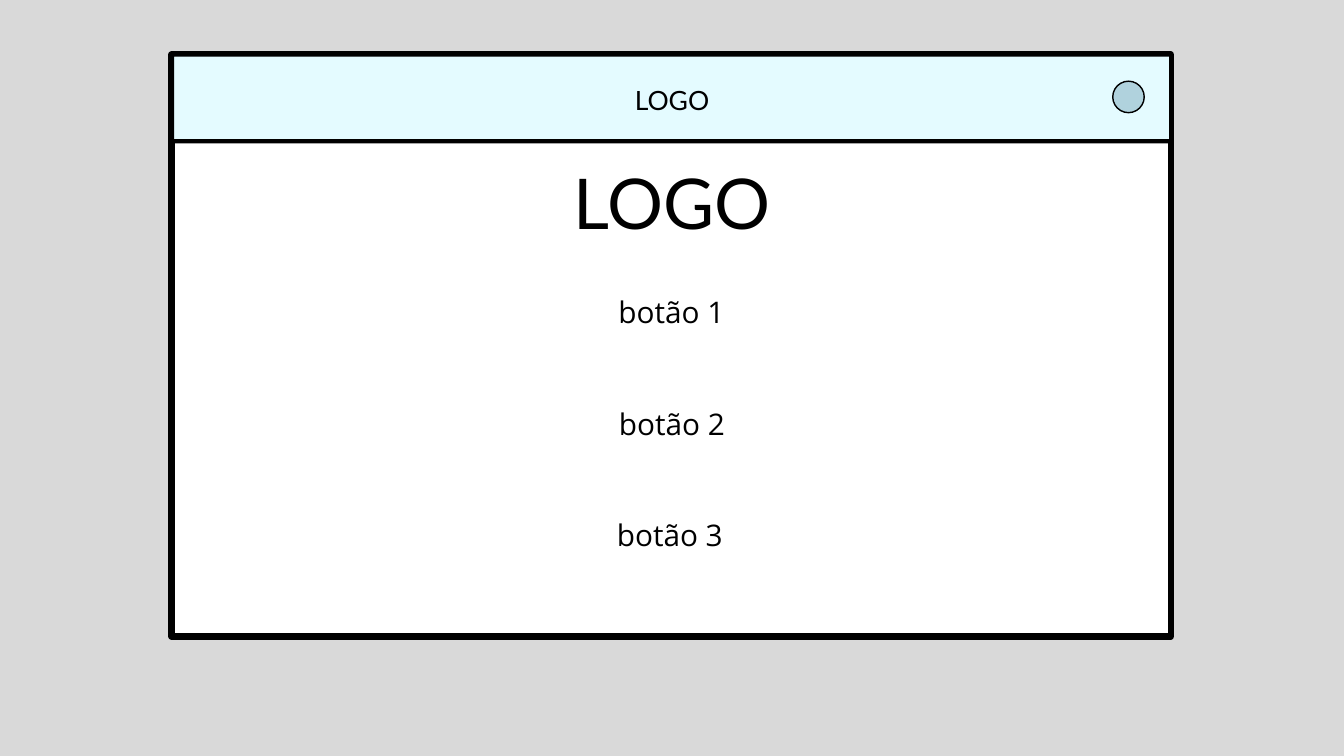
from pptx import Presentation
from pptx.dml.color import RGBColor
from pptx.enum import shapes, text
from pptx.util import Cm, Pt

COLORS = {"page": "D9D9D9", "window": "FFFFFF", "header": "E4FBFF",
          "avatar": "B0D2DD", "ink": "000000"}

# preset shape, (left, top, width, height) in cm, fill, line width in points
PANELS = [
    (shapes.MSO_SHAPE.RECTANGLE, (6.48, 2.06, 37.77, 22), "window", 6.75),
    (shapes.MSO_SHAPE.ROUNDED_RECTANGLE, (6.5, 2.06, 37.77, 3.28), "header", 4.5),
    (shapes.MSO_SHAPE.OVAL, (42.06, 3.07, 1.19, 1.19), "avatar", 1.5),
]
HEADER_LOGO = ("LOGO", (23.83, 2.97, 3.15, 1.32))
MAIN_LOGO = ("LOGO", (9.58, 5.49, 31.65, 3.56))
BUTTONS = [("botão 1", 22.56), ("botão 2", 22.58), ("botão 3", 22.5)]
BUTTON_TOP, BUTTON_STEP = 10.9, 4.2
BUTTON_SIZE = (5.64, 1.5)


def color(name):
    return RGBColor.from_string(COLORS[name])


def place(box, area):
    box.left, box.top, box.width, box.height = map(Cm, area)


def write(box, words, *, font, size, spacing):
    """Fill a box with one centred line; size and spacing are in points."""
    frame = box.text_frame
    frame.word_wrap = True
    frame.auto_size = text.MSO_AUTO_SIZE.SHAPE_TO_FIT_TEXT
    frame.vertical_anchor = text.MSO_ANCHOR.TOP
    frame.margin_left = frame.margin_right = 0
    frame.margin_top = frame.margin_bottom = 0
    para = frame.paragraphs[0]
    para.alignment = text.PP_ALIGN.CENTER
    para.line_spacing = Pt(spacing)
    para.space_before = Pt(0)
    span = para.add_run()
    span.text = words
    span.font.name = font
    span.font.size = Pt(size)
    span.font.color.rgb = color("ink")


def add_panel(page, preset, area, fill, line_width):
    panel = page.shapes.add_shape(preset, *map(Cm, area))
    panel.shadow.inherit = False
    panel.fill.solid()
    panel.fill.fore_color.rgb = color(fill)
    panel.line.color.rgb = color("ink")
    panel.line.width = Pt(line_width)
    if preset == shapes.MSO_SHAPE.ROUNDED_RECTANGLE:
        panel.adjustments[0] = 0.02


def add_label(page, words, area, **style):
    write(page.shapes.add_textbox(*map(Cm, area)), words, **style)


def main():
    deck = Presentation()
    deck.slide_width, deck.slide_height = Cm(50.8), Cm(28.58)
    page = deck.slides.add_slide(deck.slide_layouts[5])
    page.background.fill.solid()
    page.background.fill.fore_color.rgb = color("page")

    for panel in PANELS:
        add_panel(page, *panel)
    add_label(page, *HEADER_LOGO, font="Lato", size=28.4, spacing=39.7)

    title = page.shapes.title
    words, area = MAIN_LOGO
    place(title, area)
    write(title, words, font="Lato", size=75, spacing=104.9)
    page.shapes.element.append(title.element)  # bring in front of the window

    for row, (words, left) in enumerate(BUTTONS):
        area = (left, BUTTON_TOP + row * BUTTON_STEP, *BUTTON_SIZE)
        add_label(page, words, area, font="Open Sans", size=31.9, spacing=44.6)

    deck.save("out.pptx")


if __name__ == "__main__":
    main()
